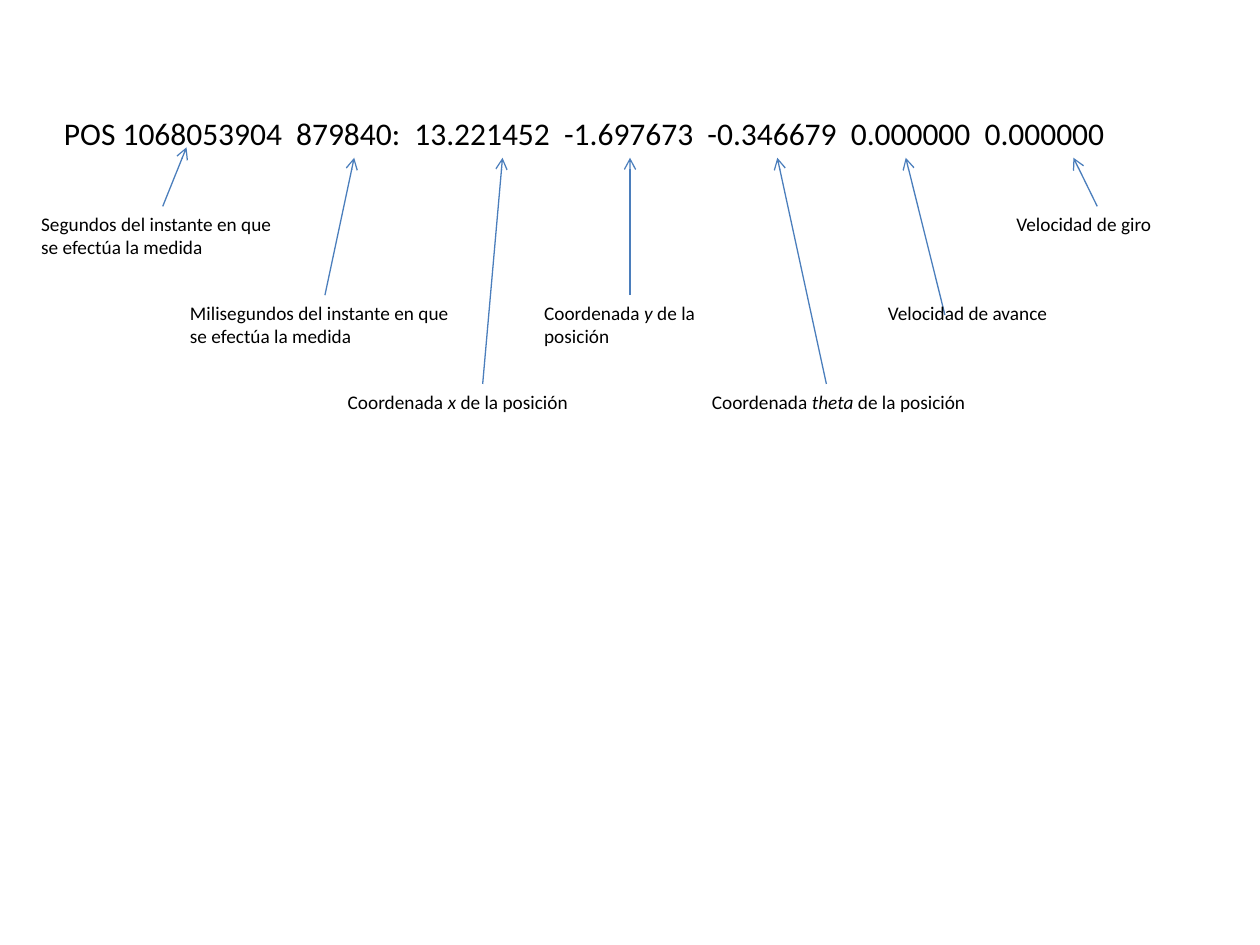
import pptx
import pptx.dml.color
import pptx.enum.shapes
import pptx.enum.text
import pptx.oxml.ns
import pptx.util
from lxml import etree

Cm = pptx.util.Cm
COLORS = {"text": "000000", "arrow": "4B7EBC"}
FONT = "Calibri"

RECORD = "POS 1068053904  879840:  13.221452  -1.697673  -0.346679  0.000000  0.000000"
TIP_Y = 1.0
FIRST_ROW, ROW_STEP = 1.98, 1.79

# Runs (text, italic), row, left, width, height, arrow start x, tip x,
# arrow start below the row top, tip y; lengths in cm within the diagram
FIELDS = [
    ([("Segundos del instante en que se efectúa la medida", False)],
     0, 0, 5.36, 1.19, 2.7, 3.18, 0, 0.79),
    ([("Milisegundos del instante en que se efectúa la medida", False)],
     1, 3.0, 5.94, 1.19, 5.97, 6.56, 0, TIP_Y),
    ([("Coordenada ", False), ("x", True), (" de la posición", False)],
     2, 6.18, 5.94, 0.74, 9.15, 9.55, 0, TIP_Y),
    ([("Coordenada ", False), ("y ", True), ("de la posición", False)],
     1, 10.14, 3.96, 1.68, 12.12, 12.12, 0, TIP_Y),
    ([("Coordenada ", False), ("theta ", True), ("de la posición", False)],
     2, 13.52, 5.94, 1.19, 16.08, 15.09, 0, TIP_Y),
    ([("Velocidad de avance", False)],
     1, 17.07, 5.16, 0.74, 18.47, 17.68, 0.4, TIP_Y),
    ([("Velocidad de giro", False)],
     0, 19.66, 3.76, 0.74, 21.54, 21.06, 0, TIP_Y),
]


def color(name):
    return pptx.dml.color.RGBColor.from_string(COLORS[name])


def add_text(slide, left, top, width, height, runs, size):
    shape = slide.shapes.add_textbox(Cm(left), Cm(top), Cm(width), Cm(height))
    frame = shape.text_frame
    frame.word_wrap = True
    frame.auto_size = pptx.enum.text.MSO_AUTO_SIZE.SHAPE_TO_FIT_TEXT
    paragraph = frame.paragraphs[0]
    for text, italic in runs:
        run = paragraph.add_run()
        run.text = text
        run.font.name = FONT
        run.font.size = pptx.util.Pt(size)
        run.font.italic = italic
        run.font.color.rgb = color("text")


def add_arrow(slide, start_x, start_y, end_x, end_y):
    connector = slide.shapes.add_connector(
        pptx.enum.shapes.MSO_CONNECTOR.STRAIGHT,
        Cm(start_x), Cm(start_y), Cm(end_x), Cm(end_y))
    connector.line.color.rgb = color("arrow")
    connector.line.width = pptx.util.Pt(0.75)
    # Open arrowhead, no shadow
    line = connector.line._get_or_add_ln()
    etree.SubElement(line, pptx.oxml.ns.qn("a:tailEnd"), type="arrow")
    etree.SubElement(connector._element.spPr, pptx.oxml.ns.qn("a:effectLst"))


def add_record_diagram(slide, left, top, width):
    # Log record
    indent = 0.46
    add_text(slide, left + indent, top, width - indent, 1.02, [(RECORD, False)], 18)

    # Explanation of each field, with its arrow
    for (runs, row, label_x, label_width, label_height,
         start_x, tip_x, drop, tip_y) in FIELDS:
        row_top = top + FIRST_ROW + row * ROW_STEP
        add_arrow(slide, left + start_x, row_top + drop, left + tip_x, top + tip_y)
        add_text(slide, left + label_x, row_top, label_width, label_height, runs, 11)


def main():
    presentation = pptx.Presentation()
    presentation.slide_width = Cm(25.4)
    presentation.slide_height = Cm(19.05)
    slide = presentation.slides.add_slide(presentation.slide_layouts[6])
    add_record_diagram(slide, 0.58, 2.18, 23.78)
    presentation.save("out.pptx")


if __name__ == "__main__":
    main()
